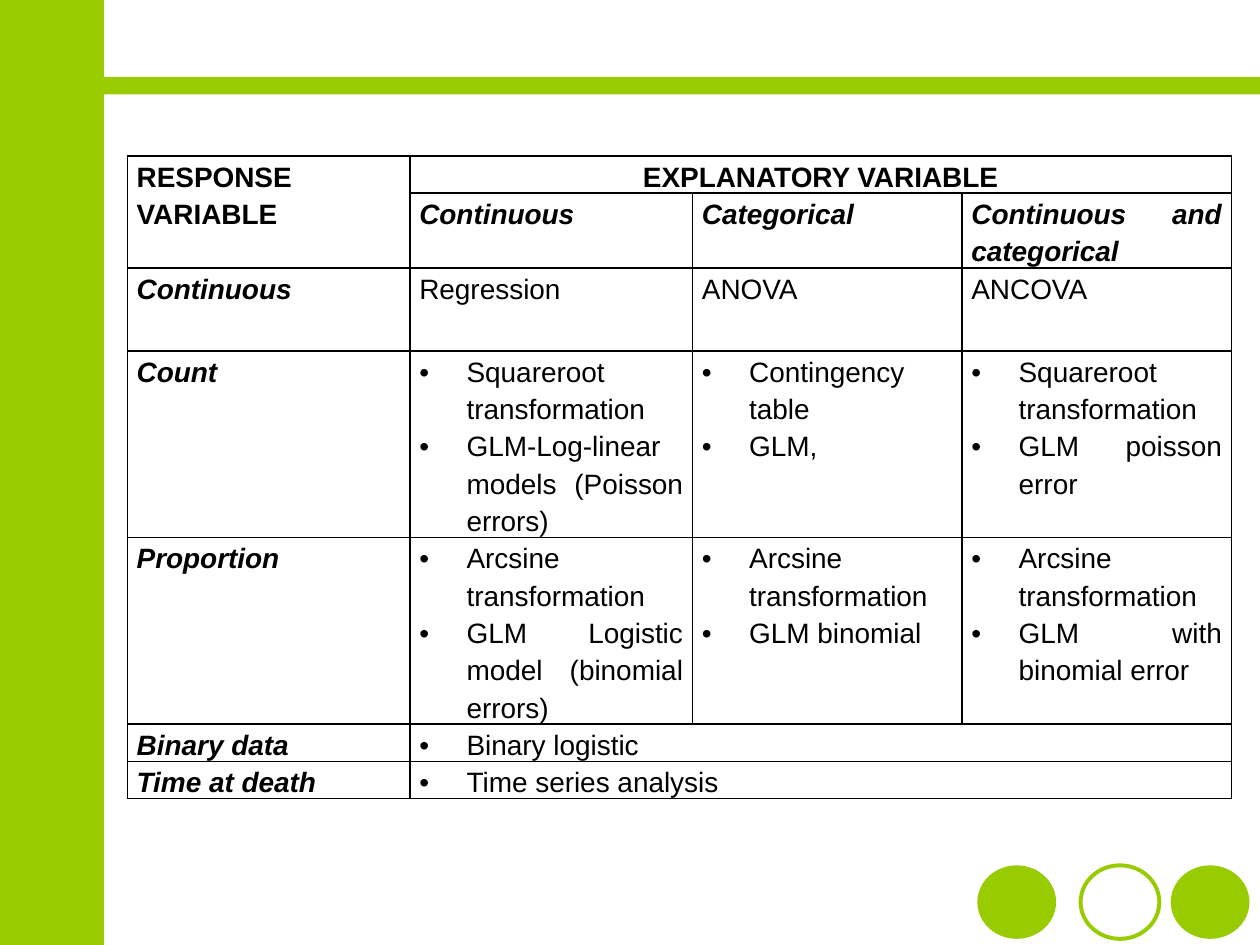
from lxml import etree
from pptx import Presentation
from pptx.dml.color import RGBColor
from pptx.enum import shapes, text
from pptx.oxml import ns
from pptx.util import Pt

GREEN, BLACK = "99CC00", "000000"
BARS = [(0, 0, 59.5, 540), (0, 44, 720, 10)]
DOTS = [(558.5, True), (669, True), (617.5, False)]  # left, filled
DOT_TOP, DOT_W, DOT_H = 494.5, 45, 42

# A list is a bulleted cell, None is covered by a merged cell.
ROWS = [
    ["RESPONSE VARIABLE", "EXPLANATORY VARIABLE", None, None],
    [None, "Continuous", "Categorical", "Continuous and categorical"],
    ["Continuous", "Regression", "ANOVA", "ANCOVA"],
    ["Count",
     ["Squareroot transformation", "GLM-Log-linear models (Poisson errors)"],
     ["Contingency table", "GLM,"],
     ["Squareroot transformation", "GLM poisson error"]],
    ["Proportion",
     ["Arcsine transformation", "GLM Logistic model (binomial errors)"],
     ["Arcsine transformation", "GLM binomial"],
     ["Arcsine transformation", "GLM with binomial error"]],
    ["Binary data", ["Binary logistic"], None, None],
    ["Time at death", ["Time series analysis"], None, None],
]
MERGES = [((0, 0), (1, 0)), ((0, 1), (0, 3)), ((5, 1), (5, 3)), ((6, 1), (6, 3))]
WIDTHS = [161.5, 161.5, 154, 154]
HEIGHTS = [18, 36, 47.5, 90, 72, 18, 18]
LEFT, TOP = 72.75, 89
INSET, INDENT = 5.4, 27


def color(code):
    return RGBColor.from_string(code)


def draw(kind, box, filled=True):
    shape = slide.shapes.add_shape(kind, *map(Pt, box))
    shape.shadow.inherit = False
    if filled:
        shape.fill.solid()
        shape.fill.fore_color.rgb = color(GREEN)
        shape.line.fill.background()
    else:
        shape.fill.background()
        shape.line.color.rgb = color(GREEN)
        shape.line.width = Pt(2.25)


def add_xml(parent, tag, **attrs):
    return etree.SubElement(parent, ns.qn(tag), attrs)


def border(cell):
    """Draw a thin black line on all four sides."""
    props = cell._tc.get_or_add_tcPr()
    for spot, side in enumerate("LRTB"):
        line = add_xml(props, f"a:ln{side}", w=str(Pt(1)))
        fill = add_xml(line, "a:solidFill")
        add_xml(fill, "a:srgbClr", val=BLACK)
        props.insert(spot, line)


def bullet(para):
    props = para._p.get_or_add_pPr()
    props.set("marL", str(Pt(INDENT)))
    props.set("indent", str(-Pt(INDENT)))
    add_xml(props, "a:buFont", typeface="Arial")
    add_xml(props, "a:buChar", char="•")


def write(cell, value, row, col):
    listed = isinstance(value, list)
    cell.text_frame.text = "\n".join(value) if listed else value
    for num, para in enumerate(cell.text_frame.paragraphs):
        centred = (row, col) == (0, 1)
        para.alignment = text.PP_ALIGN.CENTER if centred else text.PP_ALIGN.JUSTIFY
        para.line_spacing = 1.2
        para.space_before = Pt(6 if num == 0 and not (listed and col > 1) else 0)
        if listed:
            bullet(para)
        for run in para.runs:
            font = run.font
            font.name, font.size = "Arial", Pt(16)
            font.color.rgb = color(BLACK)
            font.bold = row < 2 or col == 0
            font.italic = font.bold and row > 0


deck = Presentation()
deck.slide_width, deck.slide_height = Pt(720), Pt(540)
slide = deck.slides.add_slide(deck.slide_layouts[6])

for box in BARS:
    draw(shapes.MSO_SHAPE.RECTANGLE, box)
for left, filled in DOTS:
    draw(shapes.MSO_SHAPE.OVAL, (left, DOT_TOP, DOT_W, DOT_H), filled)

table = slide.shapes.add_table(
    len(ROWS), len(WIDTHS), Pt(LEFT), Pt(TOP), Pt(sum(WIDTHS)), Pt(sum(HEIGHTS))
).table
table.first_row = table.horz_banding = False
for column, width in zip(table.columns, WIDTHS):
    column.width = Pt(width)
for line, height in zip(table.rows, HEIGHTS):
    line.height = Pt(height)
for first, last in MERGES:
    table.cell(*first).merge(table.cell(*last))

for row, values in enumerate(ROWS):
    for col, value in enumerate(values):
        cell = table.cell(row, col)
        cell.margin_left = cell.margin_right = Pt(INSET)
        cell.margin_top = cell.margin_bottom = 0
        cell.fill.background()
        border(cell)
        if value:
            write(cell, value, row, col)
        else:
            cell.text_frame.paragraphs[0].font.size = Pt(8)

deck.save("out.pptx")
